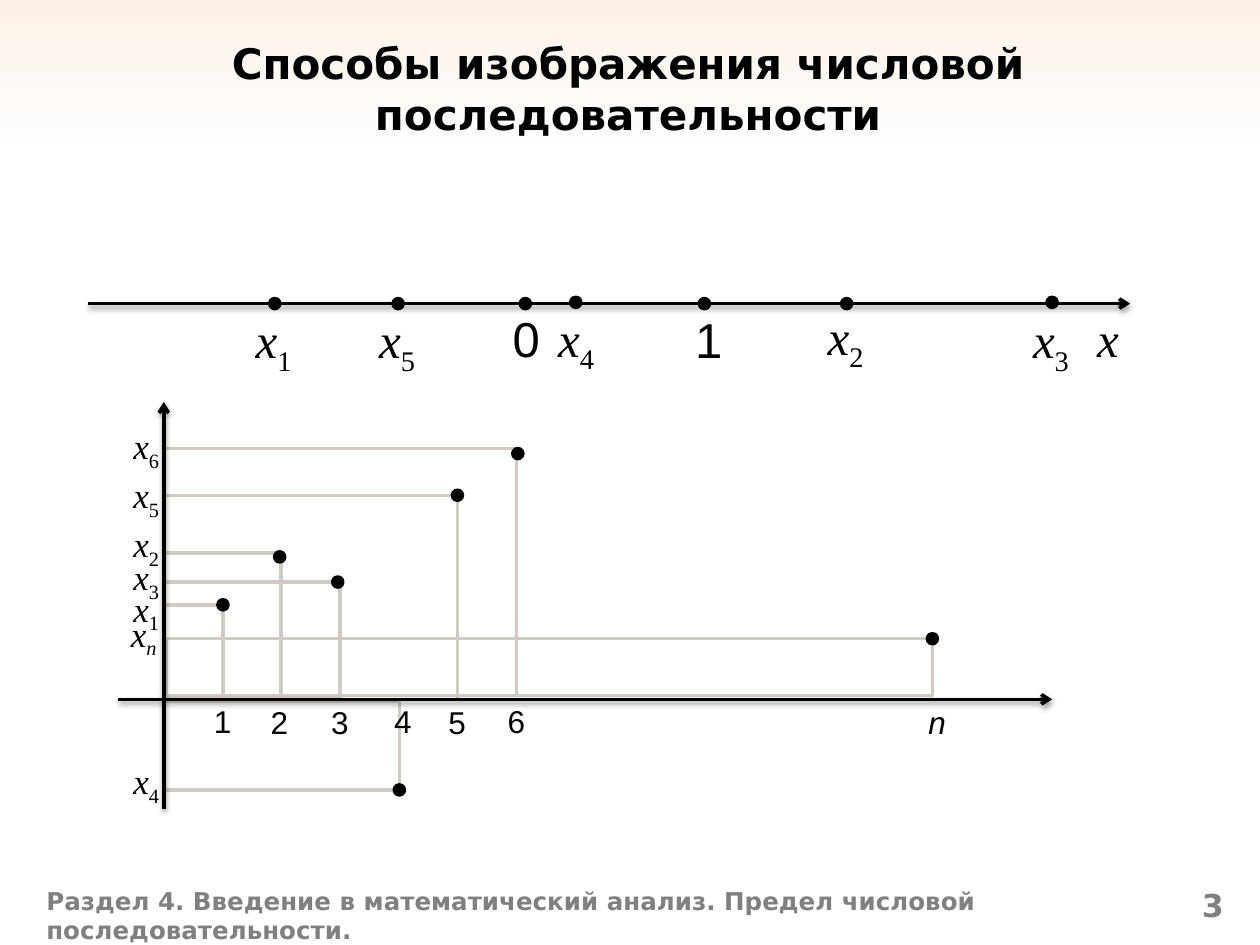
from lxml.etree import SubElement
from pptx import Presentation
from pptx.dml.color import RGBColor
from pptx.enum.shapes import MSO_CONNECTOR, MSO_SHAPE
from pptx.enum.text import MSO_ANCHOR, MSO_AUTO_SIZE, PP_ALIGN
from pptx.oxml.ns import qn
from pptx.util import Pt

BLACK = RGBColor(0x00, 0x00, 0x00)
GREY = RGBColor(0x80, 0x80, 0x80)
GUIDE = RGBColor(0xCF, 0xCB, 0xC4)
CREAM = RGBColor(0xFC, 0xF1, 0xE8)
WHITE = RGBColor(0xFF, 0xFF, 0xFF)
SANS, SERIF, HEADING = "Arial", "Times New Roman", "DejaVu Sans"
DOT = 5.76
ORIGIN_X = 93.6

# text, box (left, top, width, height), alignment, anchor, size, colour
HEADINGS = [
    ("Способы изображения числовой последовательности",
     (18.7, 13.7, 680.4, 73.4), PP_ALIGN.CENTER, MSO_ANCHOR.MIDDLE, 24, BLACK),
    ("Раздел 4. Введение в математический анализ. Предел числовой последовательности.",
     (19.4, 502.6, 614.9, 37.4), PP_ALIGN.LEFT, MSO_ANCHOR.TOP, 14, GREY),
    ("3", (635.8, 502.6, 70.6, 37.4), PP_ALIGN.RIGHT, MSO_ANCHOR.TOP, 18, GREY),
]

# start x, start y, end x, end y
AXES = [
    (50.4, 173.5, 645.8, 173.5),
    (67.7, 399.6, 601.2, 399.6),
    (ORIGIN_X, 462.2, ORIGIN_X, 229.7),
]

# base, subscript, label (left, top, width), dot centre or None
NUMBER_LINE = [
    ("x", "1", (139, 173.5, 36.7), (157, 173.5)),
    ("x", "5", (209.5, 173.5, 36.7), (227.5, 173.5)),
    ("0", "", (285.8, 172.8, 30.2), (300.2, 173.5)),
    ("x", "4", (311.8, 172.8, 36.7), (329, 172.8)),
    ("1", "", (390.2, 173.5, 30.2), (402.5, 173.5)),
    ("x", "2", (465.8, 171.4, 36.7), (483.8, 173.5)),
    ("x", "3", (583.2, 173.5, 36.7), (601.2, 172.8)),
    ("x", "", (619.9, 172.8, 27.4), None),
]

# index, guide box (left, top, right, bottom), dot centre,
# index label (left, top), value label (left, top)
TERMS = [
    ("n", (95, 365, 532.8, 397.4), (532.8, 365), (523.4, 398.2), (67.7, 346.3)),
    ("6", (ORIGIN_X, 256.3, 295.2, 397.4), (295.9, 259.2), (283, 397.4), (69.1, 239)),
    ("5", (ORIGIN_X, 283, 261.4, 399.6), (261.4, 283), (249.1, 398.2), (69.1, 267.1)),
    ("4", (ORIGIN_X, 401, 228.2, 451.4), (228.2, 451.4), (218.2, 397.4), (69.1, 430.6)),
    ("3", (ORIGIN_X, 332.6, 194.4, 398.2), (193, 332.6), (182.2, 398.2), (69.1, 313.9)),
    ("2", (ORIGIN_X, 316.1, 160.6, 399.6), (159.8, 318.2), (147.6, 398.2), (69.1, 295.2)),
    ("1", (ORIGIN_X, 345.6, 127.4, 399.6), (127.4, 345.6), (115.2, 397.4), (69.1, 331.9)),
]


def add_run(paragraph, text, subscript=False, **formats):
    run = paragraph.add_run()
    run.text = text
    color = formats.pop("color", BLACK)
    for name, value in formats.items():
        setattr(run.font, name, value)
    run.font.color.rgb = color
    if subscript:
        run._r.get_or_add_rPr().set("baseline", "-25000")


def add_heading(slide, text, box, alignment, anchor, size, color):
    frame = slide.shapes.add_textbox(*map(Pt, box)).text_frame
    frame.word_wrap = True
    frame.vertical_anchor = anchor
    paragraph = frame.paragraphs[0]
    paragraph.alignment = alignment
    add_run(paragraph, text, name=HEADING, size=Pt(size), bold=True, color=color)


def add_label(slide, box, size, base, subscript=""):
    """Write a number or index in sans, or the variable x with its subscript in serif."""
    frame = slide.shapes.add_textbox(*map(Pt, box)).text_frame
    frame.word_wrap = False
    frame.auto_size = MSO_AUTO_SIZE.SHAPE_TO_FIT_TEXT
    paragraph = frame.paragraphs[0]
    font = {"name": SERIF if base == "x" else SANS, "size": Pt(size)}
    add_run(paragraph, base, italic=base.isalpha(), **font)
    if subscript:
        add_run(paragraph, subscript, subscript=True, italic=subscript.isalpha(), **font)


def add_outlined(slide, kind, box, line_color, fill_color=None):
    shape = slide.shapes.add_shape(kind, *map(Pt, box))
    shape.shadow.inherit = False
    shape.line.color.rgb = line_color
    shape.line.width = Pt(2)
    if fill_color is None:
        shape.fill.background()
    else:
        shape.fill.solid()
        shape.fill.fore_color.rgb = fill_color


def add_dot(slide, x, y):
    box = (x - DOT / 2, y - DOT / 2, DOT, DOT)
    add_outlined(slide, MSO_SHAPE.FLOWCHART_CONNECTOR, box, BLACK, BLACK)


def add_axis(slide, points):
    axis = slide.shapes.add_connector(MSO_CONNECTOR.STRAIGHT, *map(Pt, points))
    axis.line.color.rgb = BLACK
    axis.line.width = Pt(2)
    SubElement(axis.line._get_or_add_ln(), qn("a:tailEnd"), type="arrow")
    effects = SubElement(axis._element.spPr, qn("a:effectLst"))
    shadow = SubElement(effects, qn("a:outerShdw"), blurRad=str(Pt(3.1)),
                        dist=str(Pt(1.6)), dir="5400000", rotWithShape="0")
    color = SubElement(shadow, qn("a:srgbClr"), val=str(BLACK))
    SubElement(color, qn("a:alpha"), val="38000")


def set_background(slide):
    fill = slide.background.fill
    fill.gradient()
    fill.gradient_angle = 270
    for stop, position, color in zip(fill.gradient_stops, (0, 0.16), (CREAM, WHITE)):
        stop.position = position
        stop.color.rgb = color


def main():
    presentation = Presentation()
    presentation.slide_width, presentation.slide_height = Pt(720), Pt(540)
    slide = presentation.slides.add_slide(presentation.slide_layouts[6])
    set_background(slide)

    for _, (left, top, right, bottom), *_ in TERMS:
        box = (left, top, right - left, bottom - top)
        add_outlined(slide, MSO_SHAPE.FLOWCHART_PROCESS, box, GUIDE)
    for heading in HEADINGS:
        add_heading(slide, *heading)
    for axis in AXES:
        add_axis(slide, axis)

    for base, subscript, label, dot in NUMBER_LINE:
        if dot:
            add_dot(slide, *dot)
        add_label(slide, (*label, 41), 28, base, subscript)
    for index, _, dot, index_label, value_label in TERMS:
        add_dot(slide, *dot)
        add_label(slide, (*index_label, 24.5, 28.8), 18, index)
        add_label(slide, (*value_label, 30.2, 31.7), 20, "x", index)

    presentation.save("out.pptx")


if __name__ == "__main__":
    main()
